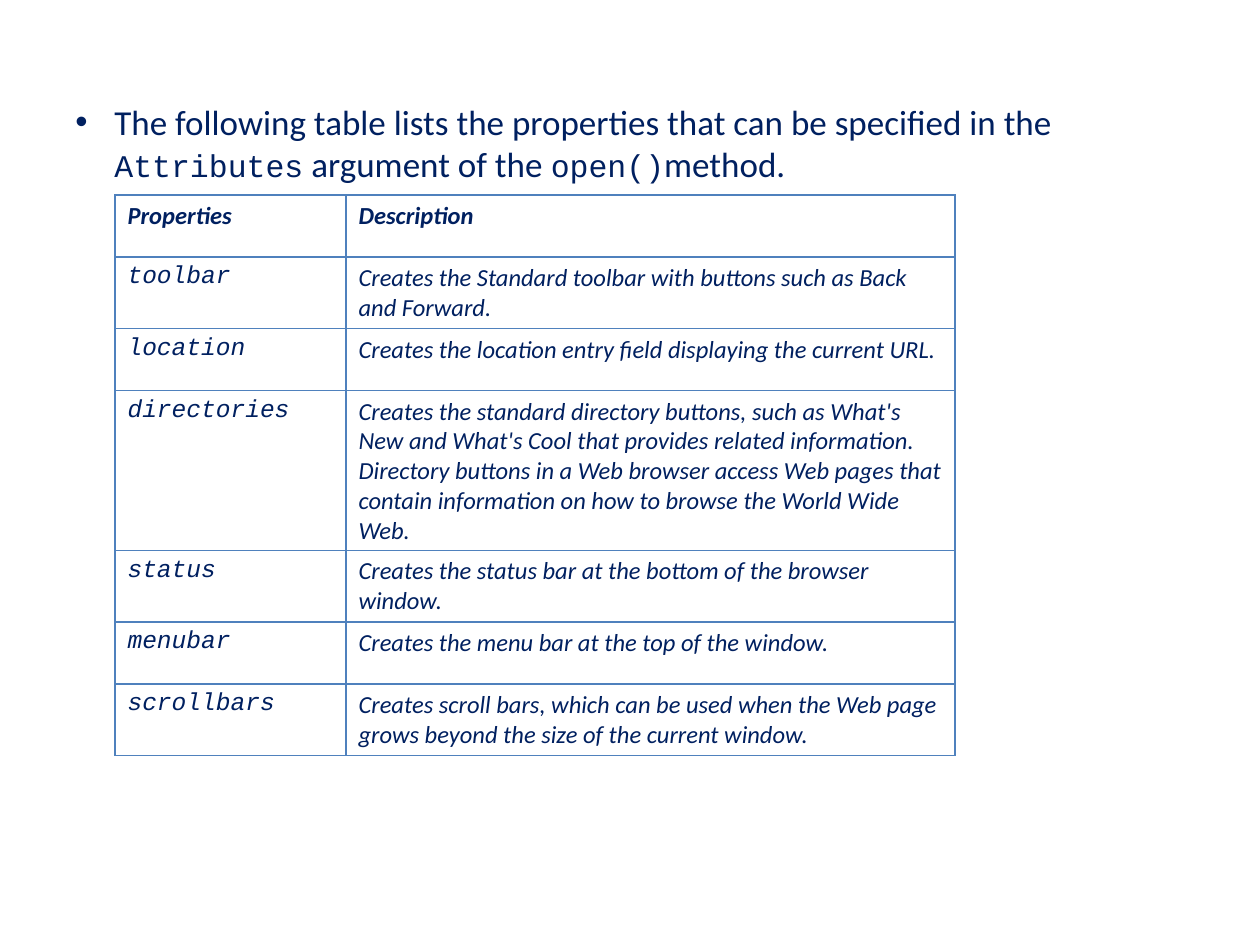
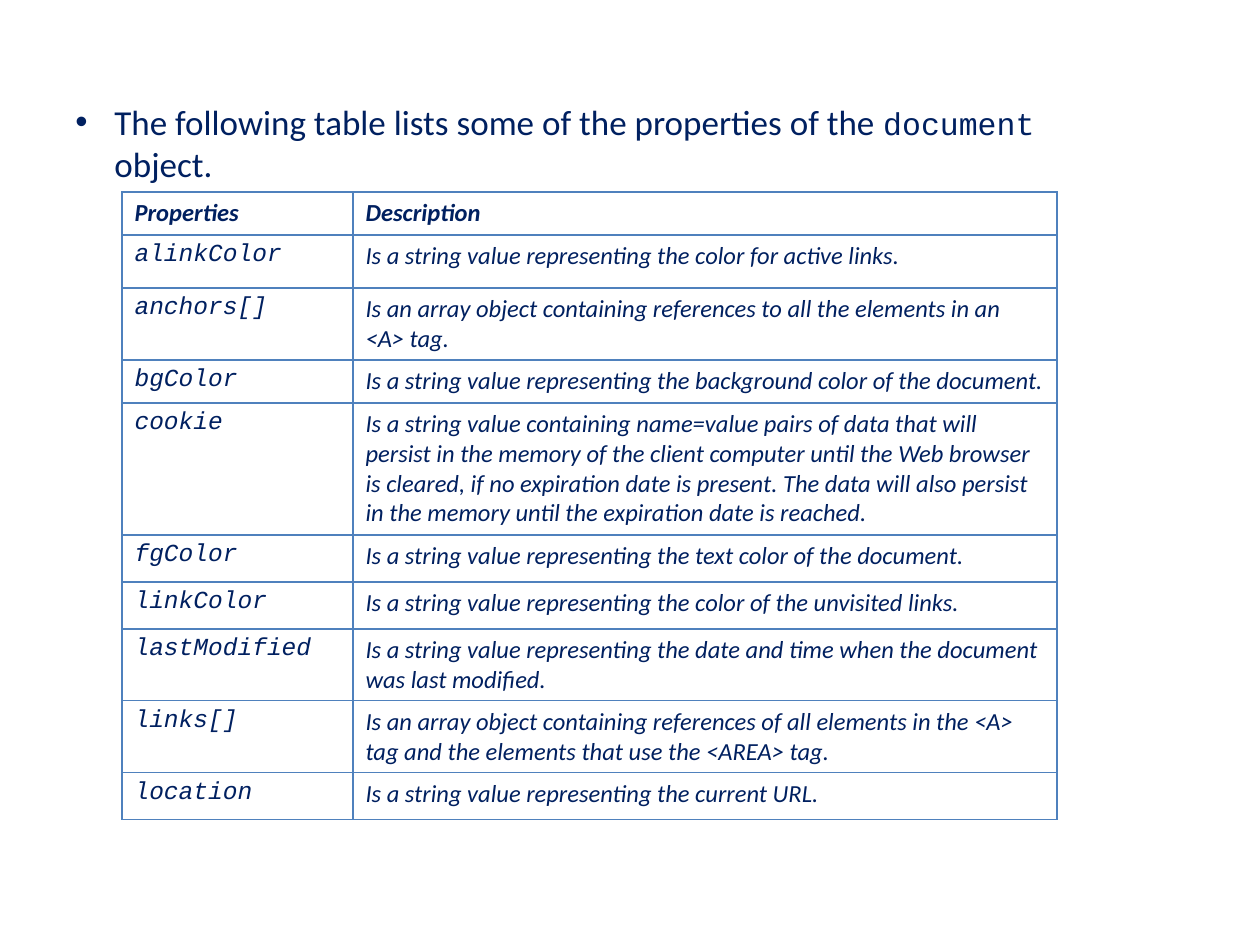
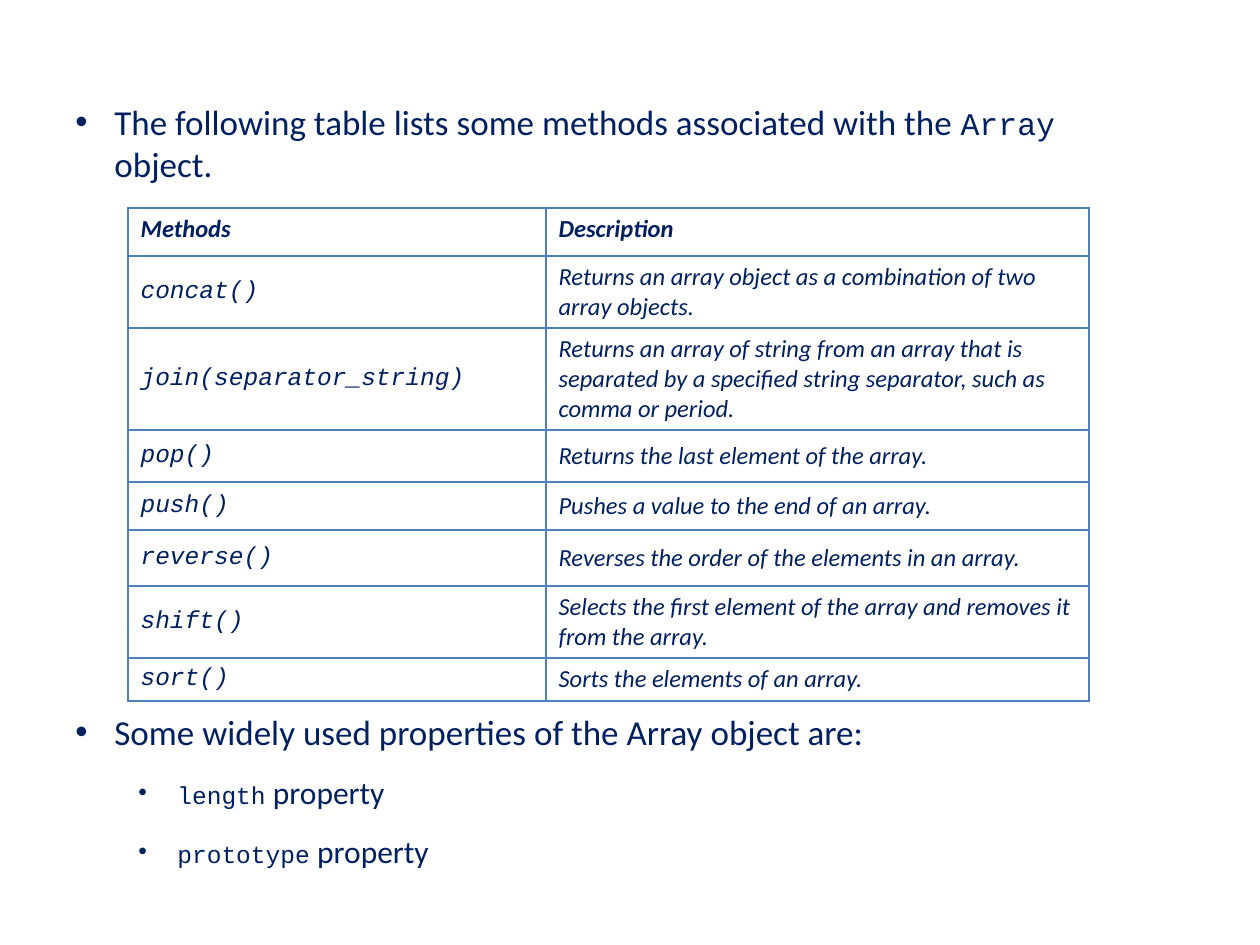
"""Builds three slides that list script properties and methods in tables."""
from pptx import Presentation
from pptx.dml.color import RGBColor
from pptx.enum.text import MSO_ANCHOR
from pptx.oxml.ns import qn
from pptx.util import Emu, Pt
from lxml import etree

EMU_PER_INCH = 914400
PX_PER_INCH = 126
NAVY = RGBColor(0x00, 0x20, 0x60)
BORDER_BLUE = RGBColor(0x4F, 0x81, 0xBD)
BODY_FONT = "Calibri"
CODE_FONT = "Courier New"
TABLE_SIZE = 14
HANGING = 39
SUB_INDENT = 102
TOP = MSO_ANCHOR.TOP
MIDDLE = MSO_ANCHOR.MIDDLE

WINDOW_PROPERTIES = [
    ("Properties", "Description"),
    ("toolbar", "Creates the Standard toolbar with buttons such as Back and Forward."),
    ("location", "Creates the location entry field displaying the current URL."),
    ("directories", "Creates the standard directory buttons, such as What's New and "
     "What's Cool that provides related information. Directory buttons in a Web browser "
     "access Web pages that contain information on how to browse the World Wide Web."),
    ("status", "Creates the status bar at the bottom of the browser window."),
    ("menubar", "Creates the menu bar at the top of the window."),
    ("scrollbars", "Creates scroll bars, which can be used when the Web page grows "
     "beyond the size of the current window."),
]
DOCUMENT_PROPERTIES = [
    ("Properties", "Description"),
    ("alinkColor", "Is a string value representing the color for active links."),
    ("anchors[]", "Is an array object containing references to all the elements in an "
     "<A> tag."),
    ("bgColor", "Is a string value representing the background color of the document."),
    ("cookie", "Is a string value containing name=value pairs of data that will persist "
     "in the memory of the client computer until the Web browser is cleared, if no "
     "expiration date is present. The data will also persist in the memory until the "
     "expiration date is reached."),
    ("fgColor", "Is a string value representing the text color of the document."),
    ("linkColor", "Is a string value representing the color of the unvisited links."),
    ("lastModified", "Is a string value representing the date and time when the document "
     "was last modified."),
    ("links[]", "Is an array object containing references of all elements in the <A> tag "
     "and the elements that use the <AREA> tag."),
    ("location", "Is a string value representing the current URL."),
]
ARRAY_METHODS = [
    ("Methods", "Description"),
    ("concat()", "Returns an array object as a combination of two array objects."),
    ("join(separator_string)", "Returns an array of string from an array that is "
     "separated by a specified string separator, such as comma or period."),
    ("pop()", "Returns the last element of the array."),
    ("push()", "Pushes a value to the end of an array."),
    ("reverse()", "Reverses the order of the elements in an array."),
    ("shift()", "Selects the first element of the array and removes it from the array."),
    ("sort()", "Sorts the elements of an array."),
]


def px(length):
    """Turn a length in px into EMU."""
    return Emu(round(length * EMU_PER_INCH / PX_PER_INCH))


def style_span(span, font_name, size):
    """Give a run its font, size and the shared text colour."""
    span.font.name = font_name
    span.font.size = Pt(size)
    span.font.color.rgb = NAVY


def add_bullet(para, text, indent=HANGING, body_size=20, code_size=18, before=6):
    """Fill a bulleted paragraph; words between backticks are set as code."""
    para.space_before = Pt(before)
    para.space_after = Pt(6)
    properties = para._p.get_or_add_pPr()
    properties.set("marL", str(px(indent)))
    properties.set("indent", str(px(-HANGING)))
    etree.SubElement(properties, qn("a:buFont"), typeface="Arial")
    etree.SubElement(properties, qn("a:buChar"), char="•")
    for position, piece in enumerate(text.split("`")):
        if piece:
            span = para.add_run()
            span.text = piece
            if position % 2:
                style_span(span, CODE_FONT, code_size)
            else:
                style_span(span, BODY_FONT, body_size)


def add_intro(page, text, width, height):
    """Add the text box with the opening bullet and return its text frame."""
    box = page.shapes.add_textbox(px(63), px(94), px(width), px(height))
    box.text_frame.word_wrap = True
    add_bullet(box.text_frame.paragraphs[0], text)
    return box.text_frame


def add_borders(cell):
    """Draw a thin blue line on all four sides of a cell."""
    properties = cell._tc.get_or_add_tcPr()
    for side in ("lnL", "lnR", "lnT", "lnB"):
        line = etree.SubElement(properties, qn(f"a:{side}"), w=str(Pt(1)))
        fill = etree.SubElement(line, qn("a:solidFill"))
        etree.SubElement(fill, qn("a:srgbClr"), val=str(BORDER_BLUE))


def fill_cell(cell, text, font_name, bold, anchor):
    """Write one table cell in the shared italic style."""
    add_borders(cell)
    cell.fill.background()
    cell.vertical_anchor = anchor
    cell.text_frame.text = text
    span = cell.text_frame.paragraphs[0].runs[0]
    style_span(span, font_name, TABLE_SIZE)
    span.font.bold = bold
    span.font.italic = True


def add_reference_table(page, left, top, widths, heights, entries, anchor=TOP):
    """Add a table of names and descriptions below a bold header row."""
    table = page.shapes.add_table(len(entries), len(widths), px(left), px(top),
                                  px(sum(widths)), px(sum(heights))).table
    table.first_row = False
    table.horz_banding = False
    for column, width in zip(table.columns, widths):
        column.width = px(width)
    for index, (height, entry) in enumerate(zip(heights, entries)):
        table.rows[index].height = px(height)
        is_header = index == 0
        fonts = (BODY_FONT if is_header else CODE_FONT, BODY_FONT)
        for cell, text, font_name in zip(table.rows[index].cells, entry, fonts):
            fill_cell(cell, text, font_name, is_header, TOP if is_header else anchor)


def build_window_page(page):
    """Show the properties of the open() method."""
    add_intro(page, "The following table lists the properties that can be specified in "
              "the `Attributes` argument of the `open()`method.", 1026, 161)
    add_reference_table(page, 115, 195, (231, 609), (62, 71, 62, 160, 71, 62, 71),
                        WINDOW_PROPERTIES)


def build_document_page(page):
    """Show the properties of the document object."""
    add_intro(page, "The following table lists some of the properties of the `document` "
              "object.", 1055, 97)
    add_reference_table(page, 122, 192, (231, 704),
                        (43, 53, 72, 43, 132, 47, 47, 72, 72, 47), DOCUMENT_PROPERTIES)


def build_array_page(page):
    """Show the methods and properties of the Array object."""
    frame = add_intro(page, "The following table lists some methods associated with the "
                      "`Array` object.", 1055, 789)
    add_bullet(frame.add_paragraph(),
               "Some widely used properties of the Array object are:", before=294.5)
    for name in ("length", "prototype"):
        add_bullet(frame.add_paragraph(), f"`{name}` property", SUB_INDENT, 18, 14)
    add_reference_table(page, 128, 208, (418, 543), (48, 72, 102, 52, 48, 56, 72, 43),
                        ARRAY_METHODS, MIDDLE)


def main():
    """Build the deck and save it."""
    deck = Presentation()
    deck.slide_width = px(1260)
    deck.slide_height = px(945)
    for build_page in (build_window_page, build_document_page, build_array_page):
        build_page(deck.slides.add_slide(deck.slide_layouts[6]))
    deck.save("out.pptx")


if __name__ == "__main__":
    main()
